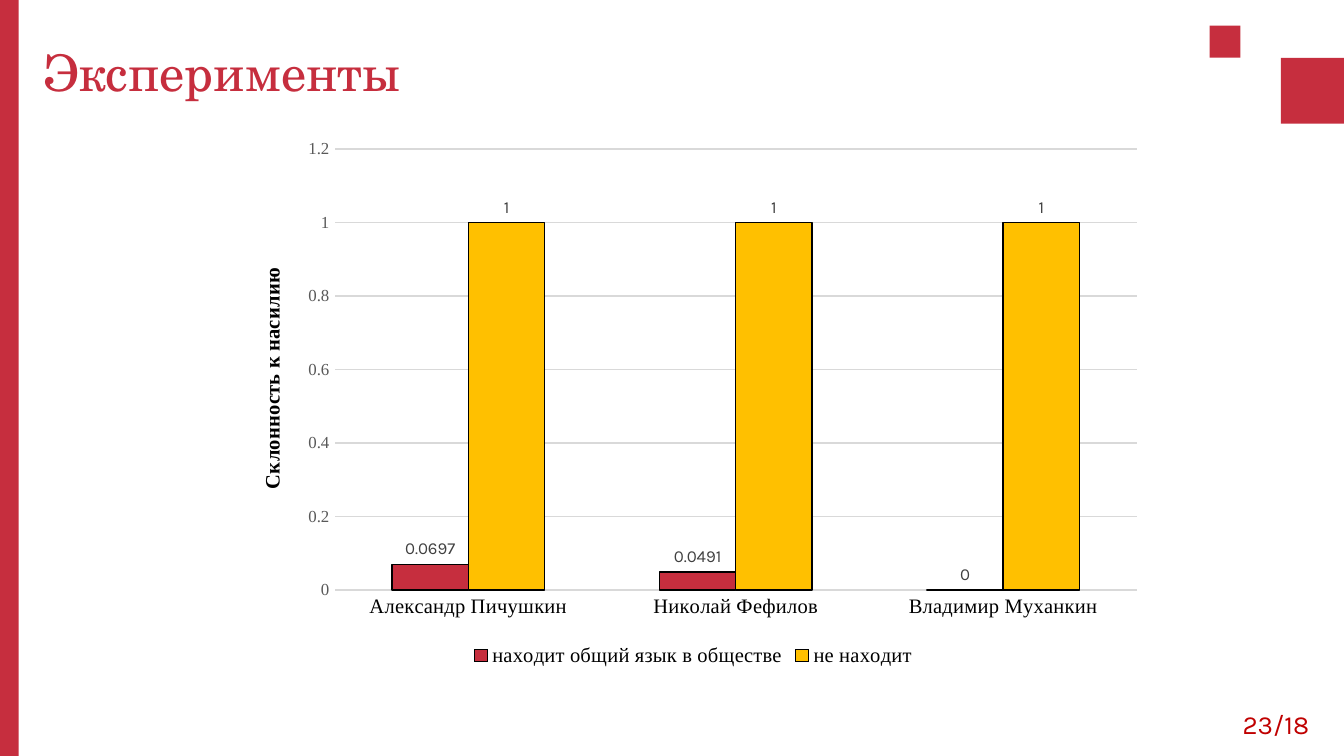
from dataclasses import dataclass

from lxml import etree
from pptx import Presentation
from pptx.chart.data import CategoryChartData
from pptx.dml.color import RGBColor
from pptx.enum.chart import XL_CHART_TYPE as ChartType
from pptx.enum.chart import XL_LABEL_POSITION as LabelPos
from pptx.enum.chart import XL_LEGEND_POSITION as LegendPos
from pptx.enum.chart import XL_TICK_MARK as Tick
from pptx.enum.shapes import MSO_SHAPE as Shape
from pptx.enum.text import MSO_ANCHOR as Anchor
from pptx.enum.text import PP_ALIGN as Align
from pptx.oxml.ns import qn
from pptx.util import Inches, Pt


@dataclass(frozen=True)
class Theme:
    red: str = "C62E3E"
    dark_red: str = "C00000"
    yellow: str = "FFC000"
    black: str = "000000"
    axis_gray: str = "595959"
    label_gray: str = "404040"
    grid: str = "D9D9D9"
    title_font: str = "TeX Gyre Schola"
    body_font: str = "Karla"
    chart_font: str = "Times New Roman"
    title: float = 27
    page: float = 14
    base: float = 10
    legend: float = 11
    small: float = 9


T = Theme()

CHART = (1.72, 0.96, 6.88, 4.04)
PLOT = (2.49, 1.11, 5.97, 3.28)
CATEGORIES = ["Александр Пичушкин", "Николай Фефилов", "Владимир Муханкин"]
SERIES = [
    ("находит общий язык в обществе", (0.0697, 0.0491, 0), T.red),
    ("не находит", (1, 1, 1), T.yellow),
]


def style(font, name, size, color, bold=False):
    font.name, font.size, font.bold = name, Pt(size), bold
    font.color.rgb = RGBColor.from_string(color)


def box(x, y, w, h):
    return Inches(x), Inches(y), Inches(w), Inches(h)


def add_block(s, place):
    sp = s.shapes.add_shape(Shape.RECTANGLE, *place)
    sp.shadow.inherit = False
    sp.fill.solid()
    sp.fill.fore_color.rgb = RGBColor.from_string(T.red)
    sp.line.fill.background()


def set_title(s, text):
    sp = s.shapes.title
    sp.left, sp.top, sp.width, sp.height = box(0.25, -0.04, 9.34, 0.84)
    tf = sp.text_frame
    tf.vertical_anchor = Anchor.BOTTOM
    tf.margin_left = tf.margin_right = Inches(0.07)
    tf.margin_top = tf.margin_bottom = Inches(0.04)
    p = tf.paragraphs[0]
    p.alignment = Align.LEFT
    r = p.add_run()
    r.text = text
    style(r.font, T.title_font, T.title, T.red)


def add_page_number(s, text):
    tf = s.shapes.add_textbox(*box(9, 5.22, 0.84, 0.34)).text_frame
    tf.word_wrap = True
    p = tf.paragraphs[0]
    p.alignment = Align.RIGHT
    r = p.add_run()
    r.text = text
    style(r.font, T.body_font, T.page, T.dark_red)


def set_plot_area(chart):
    """Fix the inner plot area, as fractions of the chart frame."""
    left, top, width, height = CHART
    x, y, w, h = PLOT
    area = chart._chartSpace.chart.plotArea
    for old in area.findall(qn("c:layout")):
        area.remove(old)
    layout = etree.Element(qn("c:layout"))
    manual = etree.SubElement(layout, qn("c:manualLayout"))
    values = {"layoutTarget": "inner", "xMode": "edge", "yMode": "edge",
              "x": (x - left) / width, "y": (y - top) / height,
              "w": w / width, "h": h / height}
    for tag, value in values.items():
        etree.SubElement(manual, qn(f"c:{tag}")).set("val", str(value))
    area.insert(0, layout)


def style_axis(axis, size, color):
    axis.major_tick_mark = axis.minor_tick_mark = Tick.NONE
    axis.format.line.fill.background()
    style(axis.tick_labels.font, T.chart_font, size, color)


def style_series(series, color):
    series.format.fill.solid()
    series.format.fill.fore_color.rgb = RGBColor.from_string(color)
    series.format.line.color.rgb = RGBColor.from_string(T.black)
    series.format.line.width = Pt(0.75)
    labels = series.data_labels
    labels.show_value = True
    labels.position = LabelPos.OUTSIDE_END
    style(labels.font, T.body_font, T.small, T.label_gray)


def add_column_chart(s):
    data = CategoryChartData()
    data.categories = CATEGORIES
    for name, values, _ in SERIES:
        data.add_series(name, values)
    chart = s.shapes.add_chart(
        ChartType.COLUMN_CLUSTERED, *box(*CHART), data).chart
    chart.has_title = False
    style(chart.font, T.body_font, T.base, T.black)
    set_plot_area(chart)

    # Columns
    plot = chart.plots[0]
    plot.gap_width, plot.overlap, plot.vary_by_categories = 150, 0, False
    for series, (_, _, color) in zip(plot.series, SERIES):
        style_series(series, color)

    # Axes
    style_axis(chart.category_axis, T.legend, T.black)
    axis = chart.value_axis
    style_axis(axis, T.small, T.axis_gray)
    axis.minimum_scale, axis.maximum_scale, axis.major_unit = 0, 1.2, 0.2
    grid = axis.major_gridlines.format.line
    grid.color.rgb = RGBColor.from_string(T.grid)
    grid.width = Pt(0.75)
    r = axis.axis_title.text_frame.paragraphs[0].add_run()
    r.text = "Склонность к насилию"
    style(r.font, T.chart_font, T.legend, T.black, bold=True)

    # Legend
    chart.has_legend = True
    chart.legend.position = LegendPos.BOTTOM
    chart.legend.include_in_layout = False
    style(chart.legend.font, T.chart_font, T.legend, T.black)


def main():
    # A 16:9 slide
    prs = Presentation()
    prs.slide_width = Inches(10)
    prs.slide_height = prs.slide_width * 9 // 16
    s = prs.slides.add_slide(prs.slide_layouts[5])

    # Decoration: left band and corner squares
    add_block(s, (0, 0, Inches(0.14), prs.slide_height))
    add_block(s, box(9.53, 0.43, 0.47, 0.49))
    add_block(s, box(9, 0.19, 0.23, 0.24))

    # Content
    set_title(s, "Эксперименты")
    add_column_chart(s)
    add_page_number(s, "23/18")
    prs.save("out.pptx")


if __name__ == "__main__":
    main()
